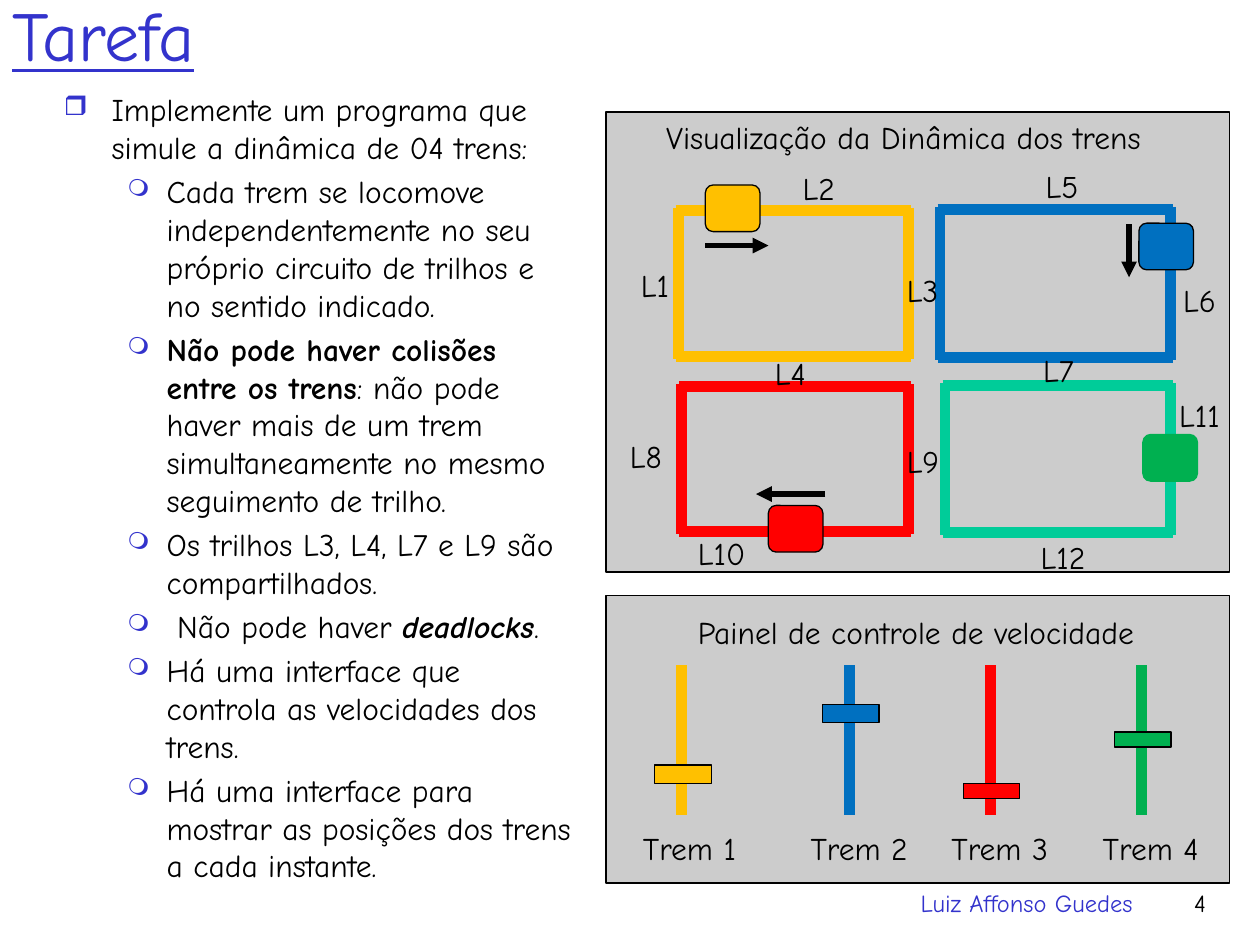
import pptx
import pptx.util
import pptx.dml.color
import pptx.enum.shapes
import pptx.enum.text
import pptx.oxml.ns
from dataclasses import dataclass
from lxml import etree
from pptx.util import Cm


@dataclass(frozen=True)
class Theme:
    font: str = "Comic Neue"
    title_size: float = 40
    text_size: float = 18
    footer_size: float = 14
    accent: str = "3333CC"
    ink: str = "000000"
    panel: str = "CCCCCC"
    yellow: str = "FFC000"
    blue: str = "0070C0"
    red: str = "FF0000"
    mint: str = "00CC99"
    green: str = "00B050"
    thin: float = 0.75
    arrow: float = 3
    rail: float = 6.25


def add_xml(parent, tag, **attributes):
    return etree.SubElement(parent, pptx.oxml.ns.qn(tag), **attributes)


class SlideBuilder:
    def __init__(self, slide, theme):
        self.slide = slide
        self.theme = theme

    def rgb(self, color):
        return pptx.dml.color.RGBColor.from_string(color)

    def style_font(self, paragraph, size, color):
        paragraph.font.name = self.theme.font
        paragraph.font.size = pptx.util.Pt(size)
        paragraph.font.color.rgb = self.rgb(color)

    def text(self, left, top, width, height, wording, size=None, color=None,
             align=pptx.enum.text.PP_ALIGN.LEFT, wrap=True):
        box = self.slide.shapes.add_textbox(Cm(left), Cm(top), Cm(width), Cm(height))
        box.text_frame.word_wrap = wrap
        paragraph = box.text_frame.paragraphs[0]
        paragraph.text = wording
        paragraph.alignment = align
        self.style_font(paragraph, size or self.theme.text_size, color or self.theme.ink)
        return box

    def label(self, left, top, width, wording):
        box = self.text(left, top, width, 1.02, wording, wrap=False)
        box.text_frame.auto_size = pptx.enum.text.MSO_AUTO_SIZE.SHAPE_TO_FIT_TEXT

    def title(self, wording):
        box = self.text(0, 0.05, 9.42, 1.27, wording, self.theme.title_size, self.theme.accent)
        box.text_frame.vertical_anchor = pptx.enum.text.MSO_ANCHOR.MIDDLE
        box.text_frame.paragraphs[0].font.underline = True

    def bullets(self, left, top, width, height, items):
        """Each item is (level, runs); each run is (wording, bold, italic)."""
        levels = [("❒", 0.96, 0.96, "85000"), ("❍", 2.07, 0.79, "75000")]
        box = self.slide.shapes.add_textbox(Cm(left), Cm(top), Cm(width), Cm(height))
        frame = box.text_frame
        frame.word_wrap = True
        for index, (level, runs) in enumerate(items):
            paragraph = frame.add_paragraph() if index else frame.paragraphs[0]
            character, margin, hanging, size = levels[level]
            properties = paragraph._p.get_or_add_pPr()
            properties.set("marL", str(Cm(margin)))
            properties.set("indent", str(-Cm(hanging)))
            add_xml(add_xml(properties, "a:buClr"), "a:srgbClr", val=self.theme.accent)
            add_xml(properties, "a:buSzPct", val=size)
            add_xml(properties, "a:buChar", char=character)
            paragraph.level = level
            paragraph.space_before = pptx.util.Pt(3.6)
            self.style_font(paragraph, self.theme.text_size, self.theme.ink)
            for wording, bold, italic in runs:
                run = paragraph.add_run()
                run.text = wording
                if bold:
                    run.font.bold = True
                if italic:
                    run.font.italic = True

    def box(self, left, top, width, height, fill, line=None, rounded=False):
        kinds = pptx.enum.shapes.MSO_SHAPE
        shape = self.slide.shapes.add_shape(
            kinds.ROUNDED_RECTANGLE if rounded else kinds.RECTANGLE,
            Cm(left), Cm(top), Cm(width), Cm(height))
        shape.shadow.inherit = False
        shape.fill.solid()
        shape.fill.fore_color.rgb = self.rgb(fill)
        shape.line.color.rgb = self.rgb(line or self.theme.ink)
        shape.line.width = pptx.util.Pt(self.theme.thin)

    def line(self, start_x, start_y, end_x, end_y, color, width):
        connector = self.slide.shapes.add_connector(
            pptx.enum.shapes.MSO_CONNECTOR.STRAIGHT,
            Cm(start_x), Cm(start_y), Cm(end_x), Cm(end_y))
        connector.line.color.rgb = self.rgb(color)
        connector.line.width = pptx.util.Pt(width)
        add_xml(connector._element.spPr, "a:effectLst")
        return connector

    def arrow(self, start_x, start_y, end_x, end_y):
        connector = self.line(start_x, start_y, end_x, end_y, self.theme.ink, self.theme.arrow)
        add_xml(connector.line._get_or_add_ln(), "a:tailEnd", type="triangle")

    def track(self, left, top, right, bottom, color):
        overhang = 0.05
        for y in (top, bottom):
            self.line(left - overhang, y, right + overhang, y, color, self.theme.rail)
        for x in (left, right):
            self.line(x, top - overhang, x, bottom + overhang, color, self.theme.rail)

    def train(self, left, top, color, line=None):
        self.box(left, top, 1.1, 0.94, color, line, rounded=True)

    def slider(self, center, knob_top, knob_height, color, wording):
        knob_width = 1.14
        self.line(center, 13.41, center, 16.42, color, self.theme.rail)
        self.box(center - knob_width / 2 + 0.03, knob_top, knob_width, knob_height, color)
        self.label(center - 1.03, 16.58, 2.69, wording)


def main():
    presentation = pptx.Presentation()
    presentation.slide_width, presentation.slide_height = Cm(25.4), Cm(19.05)
    theme = Theme()
    builder = SlideBuilder(presentation.slides.add_slide(presentation.slide_layouts[6]), theme)

    # Title and task description
    builder.title("Tarefa")
    builder.bullets(1.04, 1.7, 10.72, 16.54, [
        (0, [("Implemente um programa que simule a dinâmica de 04 trens:", False, False)]),
        (1, [("Cada trem se locomove independentemente no seu próprio circuito de trilhos "
              "e no sentido indicado.", False, False)]),
        (1, [("Não pode haver colisões entre os trens", True, False),
             (": não pode haver mais de um trem simultaneamente no mesmo seguimento "
              "de trilho.", False, False)]),
        (1, [("Os trilhos L3, L4, L7 e L9 são compartilhados.", False, False)]),
        (1, [(" Não pode haver ", False, False), ("deadlocks", True, True), (".", False, False)]),
        (1, [("Há uma interface que controla as velocidades dos trens.", False, False)]),
        (1, [("Há uma interface para mostrar as posições dos trens a cada instante.",
              False, False)]),
    ])

    # Footer
    right = pptx.enum.text.PP_ALIGN.RIGHT
    builder.text(17.2, 17.78, 5.89, 1.27, "Luiz Affonso Guedes",
                 theme.footer_size, theme.accent, right)
    builder.text(22.68, 17.78, 1.88, 1.27, "4", theme.footer_size, align=right)

    # Train view
    builder.box(12.22, 2.26, 12.57, 9.27, theme.panel)
    builder.label(13.18, 2.26, 10.85, "Visualização da Dinâmica dos trens")
    builder.track(13.67, 4.24, 18.31, 7.19, theme.yellow)
    builder.track(13.74, 7.8, 18.31, 10.72, theme.red)
    builder.track(18.95, 4.22, 23.6, 7.21, theme.blue)
    builder.track(19.05, 7.77, 23.6, 10.74, theme.mint)

    # Trains and their directions
    builder.train(14.22, 3.73, theme.yellow)
    builder.train(15.49, 10.19, theme.red)
    builder.train(22.96, 4.5, theme.blue)
    builder.train(23.04, 8.76, theme.green, theme.green)
    builder.arrow(14.22, 4.95, 15.49, 4.95)
    builder.arrow(22.76, 4.52, 22.76, 5.59)
    builder.arrow(16.64, 9.96, 15.24, 9.96)

    # Rail labels, in front of every track
    rail_labels = [
        (12.67, 5.23), (15.93, 3.28), (18.03, 5.33), (15.37, 7.01),
        (20.83, 3.25), (23.6, 5.54), (20.78, 6.96), (12.45, 8.69),
        (18.03, 8.79), (13.82, 10.64), (23.52, 7.85), (20.73, 10.72),
    ]
    for number, (left, top) in enumerate(rail_labels, start=1):
        builder.label(left, top, 1.24 if number < 10 else 1.5, f"L{number}")

    # Speed control panel
    builder.box(12.22, 12.01, 12.57, 5.79, theme.panel)
    builder.label(13.82, 12.24, 10.03, "Painel de controle de velocidade")
    sliders = [
        (13.74, 15.42, 0.38, theme.yellow), (17.12, 14.2, 0.36, theme.blue),
        (19.96, 15.8, 0.3, theme.red), (23.01, 14.76, 0.3, theme.green),
    ]
    for number, slider in enumerate(sliders, start=1):
        builder.slider(*slider, f"Trem {number}")

    presentation.save("out.pptx")


if __name__ == "__main__":
    main()
